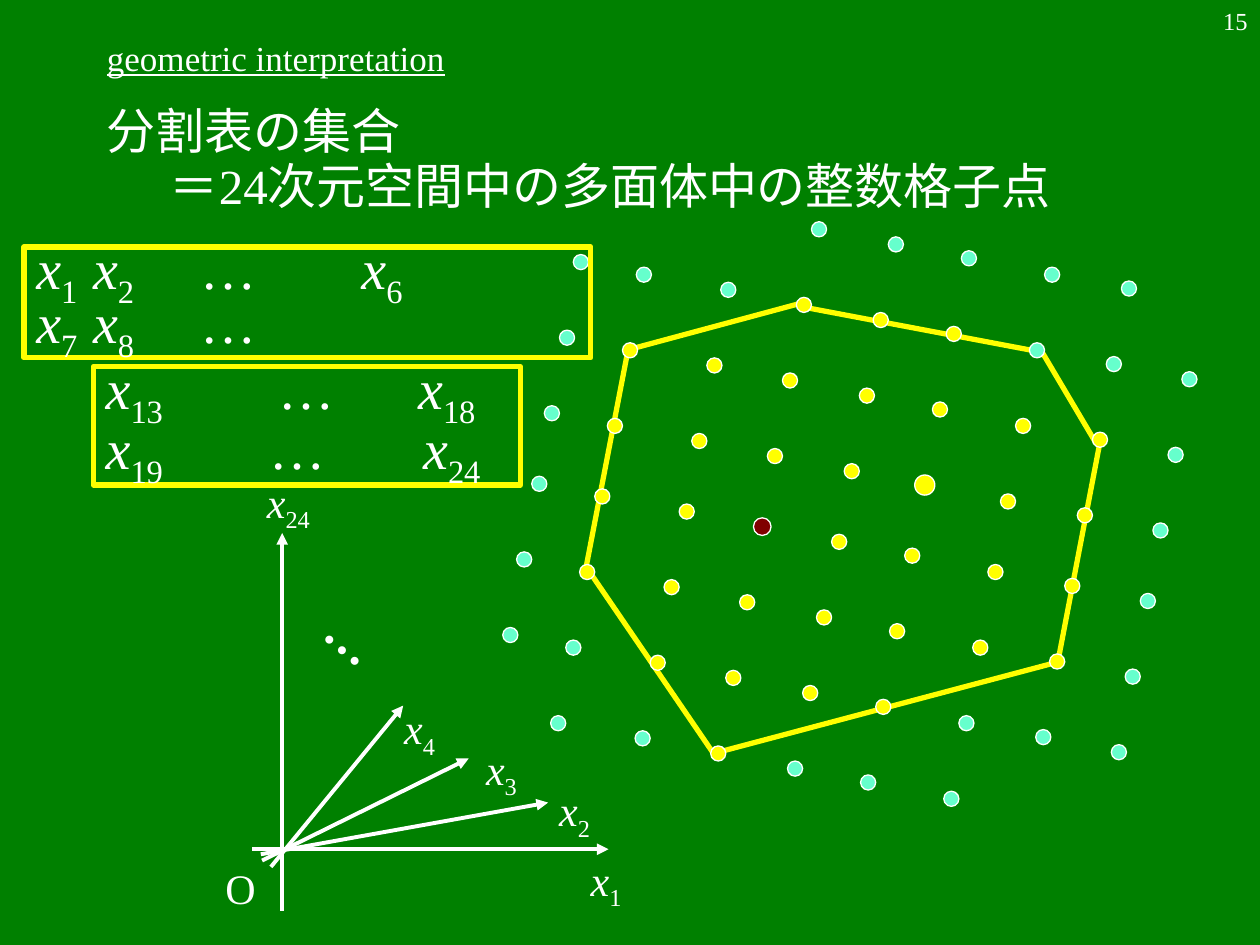
from lxml import etree
from pptx import Presentation
from pptx import util as u
from pptx.dml.color import RGBColor
from pptx.enum import shapes as sh, text as tx
from pptx.oxml.ns import qn

PX = 9144
FONT = "Times New Roman"
WHITE, YELLOW, TEAL, GREEN, MAROON = "FFFFFF", "FFFF00", "66FFCC", "008000", "800000"

AXES = [
    (224, 723, 224, 423), (200, 674, 483, 674), (215, 688, 320, 560),
    (208, 683, 372, 602), (207, 678, 435, 637),
]
LABELS = [
    ("x_1", 459, 673), ("x_24", 202, 373), ("O", 169, 680),
    ("x_2", 434, 618), ("x_3", 376, 585), ("x_4", 311, 553),
]
EDGES = [
    (638, 240, 497, 278), (498, 280, 465, 451), (468, 454, 569, 602),
    (570, 597, 845, 524), (840, 523, 873, 351), (870, 352, 825, 276),
    (639, 244, 824, 279),
]
STEPS = [(0, 0), (50, 10), (117, 22), (177, 34), (238, 46), (296, 57),
         (362, 70), (423, 81), (483, 93)]
ROWS = [
    (473, 148, "...ttttt"), (461, 208, "tttyyyttt"), (450, 268, "tyyyyyyyt"),
    (438, 328, "tyyyyYyyt"), (428, 384, "tyyRyyyyt"), (416, 444, "tyyyyyyyt"),
    (405, 504, "ttyyyyttt"), (393, 564, ".ttyttt"),
]
DOTS = {"t": (TEAL, 12), "y": (YELLOW, 12), "Y": (YELLOW, 16), "R": (MAROON, 14)}


def px(*vals):
    """Turn px lengths into EMU."""
    return [u.Emu(v * PX) for v in vals]


def rgb(code):
    """Turn a hex string into a colour."""
    return RGBColor.from_string(code)


def add_run(para, words, size, **font):
    """Add one run and return its font."""
    run = para.add_run()
    run.text = words
    face = run.font
    face.name, face.size, face.color.rgb = FONT, u.Pt(size), rgb(WHITE)
    for key, val in font.items():
        setattr(face, key, val)
    return face


def write(para, words, size=24, align=None, lead=None, above=0, indent=None,
          tabs=(), **font):
    """Fill a paragraph, with an underscore before each subscript."""
    props = para._p.get_or_add_pPr()
    if tabs:
        stops = etree.SubElement(props, qn("a:tabLst"))
        for pos in px(*tabs):
            etree.SubElement(stops, qn("a:tab"), pos=str(pos), algn="l")
    if indent:
        left, first = px(*indent)
        props.set("marL", str(left))
        props.set("indent", str(first))
    if align:
        para.alignment = align
    if lead:
        para.line_spacing = lead
    if above:
        para.space_before = u.Pt(above)
    for num, cell in enumerate(words.split("\t")):
        base, _, sub = cell.partition("_")
        base = "\t" + base if num else base
        if sub:
            add_run(para, base, size, italic=True, **font)
            face = add_run(para, sub, size, **font)
            face._element.set("baseline", "-25000")
        else:
            add_run(para, base, size, **font)


def add_text(slide, words, x, y, w, h, **fmt):
    """Add a text box with one paragraph."""
    box = slide.shapes.add_textbox(*px(x, y, w, h))
    box.text_frame.word_wrap = True
    write(box.text_frame.paragraphs[0], words, **fmt)
    return box


def add_line(slide, ends, color, width, arrow=False):
    """Add a straight line, with or without an arrowhead."""
    line = slide.shapes.add_connector(sh.MSO_CONNECTOR.STRAIGHT, *px(*ends))
    line.line.color.rgb, line.line.width = rgb(color), u.Pt(width)
    if arrow:
        etree.SubElement(line.line._get_or_add_ln(), qn("a:tailEnd"), type="triangle")
    etree.SubElement(line._element.spPr, qn("a:effectLst"))


def add_dot(slide, x, y, color, size):
    """Add a lattice point centred on x, y."""
    dot = slide.shapes.add_shape(
        sh.MSO_SHAPE.OVAL, *px(x - size // 2, y - size // 2, size, size))
    dot.shadow.inherit = False
    dot.fill.solid()
    dot.fill.fore_color.rgb = rgb(color)
    dot.line.color.rgb, dot.line.width = rgb(WHITE), u.Pt(0.75)


def add_frame(slide, x, y, w, h, rows):
    """Add an outlined box of variables, one paragraph a row."""
    box = slide.shapes.add_shape(sh.MSO_SHAPE.RECTANGLE, *px(x, y, w, h))
    box.shadow.inherit = False
    box.fill.background()
    box.line.color.rgb, box.line.width = rgb(YELLOW), u.Pt(3)
    frame = box.text_frame
    frame.word_wrap = True
    frame.vertical_anchor = tx.MSO_ANCHOR.TOP
    for num, (words, lead, tabs) in enumerate(rows):
        para = frame.add_paragraph() if num else frame.paragraphs[0]
        write(para, words, size=32, align=tx.PP_ALIGN.LEFT, lead=lead,
              above=8 * num, tabs=tabs)


def add_lattice(slide):
    """Add the polygon and the lattice points."""
    for ends in EDGES:
        add_line(slide, ends, YELLOW, 3)
    for x, y, kinds in ROWS:
        for (dx, dy), kind in zip(STEPS, kinds):
            if kind in DOTS:
                add_dot(slide, x + dx, y + dy, *DOTS[kind])


def add_axes(slide):
    """Add the coordinate axes and their labels."""
    for ends in AXES:
        add_line(slide, ends, WHITE, 2.25, arrow=True)
    for words, x, y in LABELS:
        add_text(slide, words, x, y, 60, 56)
    dots = add_text(slide, "…", 250, 478, 59, 57, size=28, bold=True,
                    align=tx.PP_ALIGN.CENTER)
    dots.rotation = 40


def main():
    """Build and save the slide."""
    deck = Presentation()
    deck.slide_width, deck.slide_height = px(1000, 750)
    slide = deck.slides.add_slide(deck.slide_layouts[6])
    slide.background.fill.solid()
    slide.background.fill.fore_color.rgb = rgb(GREEN)
    title = add_text(slide, "geometric interpretation", 75, 33, 642, 25,
                     size=20, underline=True)
    title.text_frame.vertical_anchor = tx.MSO_ANCHOR.MIDDLE
    body = add_text(slide, "分割表の集合", 75, 75, 892, 617, size=28)
    write(body.text_frame.add_paragraph(), "＝24次元空間中の多面体中の整数格子点",
          size=28, lead=0.7, above=7, indent=(81, -31))
    add_lattice(slide)
    add_axes(slide)
    add_frame(slide, 19, 196, 450, 88, [
        ("x_1\tx_2\t…\tx_6", 0.6, (45, 130, 258)),
        ("x_7\tx_8\t…", 0.5, (45, 130)),
    ])
    add_frame(slide, 74, 291, 339, 94, [
        ("x_13\t…\tx_18", 0.6, (137, 248)),
        ("x_19\t…\tx_24", 0.6, (130, 252)),
    ])
    add_text(slide, "15", 792, 0, 208, 50, size=14, align=tx.PP_ALIGN.RIGHT)
    deck.save("out.pptx")


if __name__ == "__main__":
    main()
